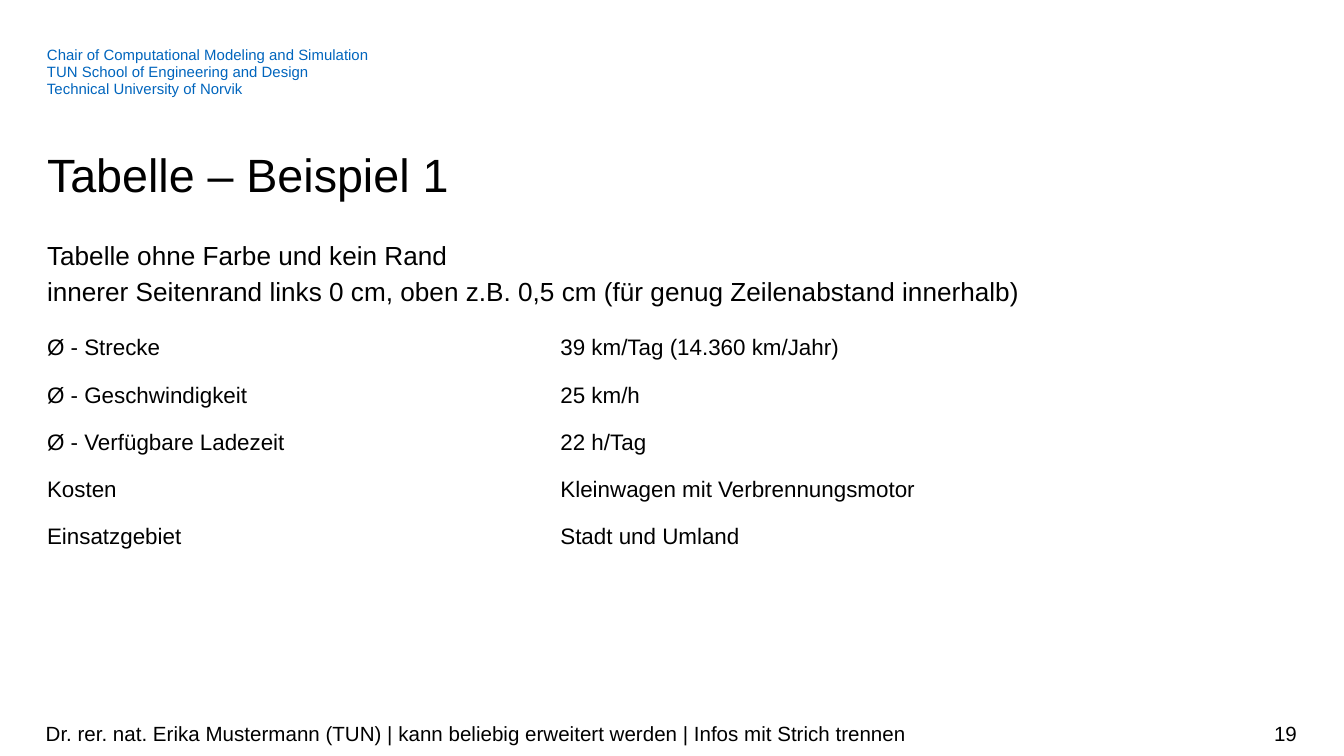
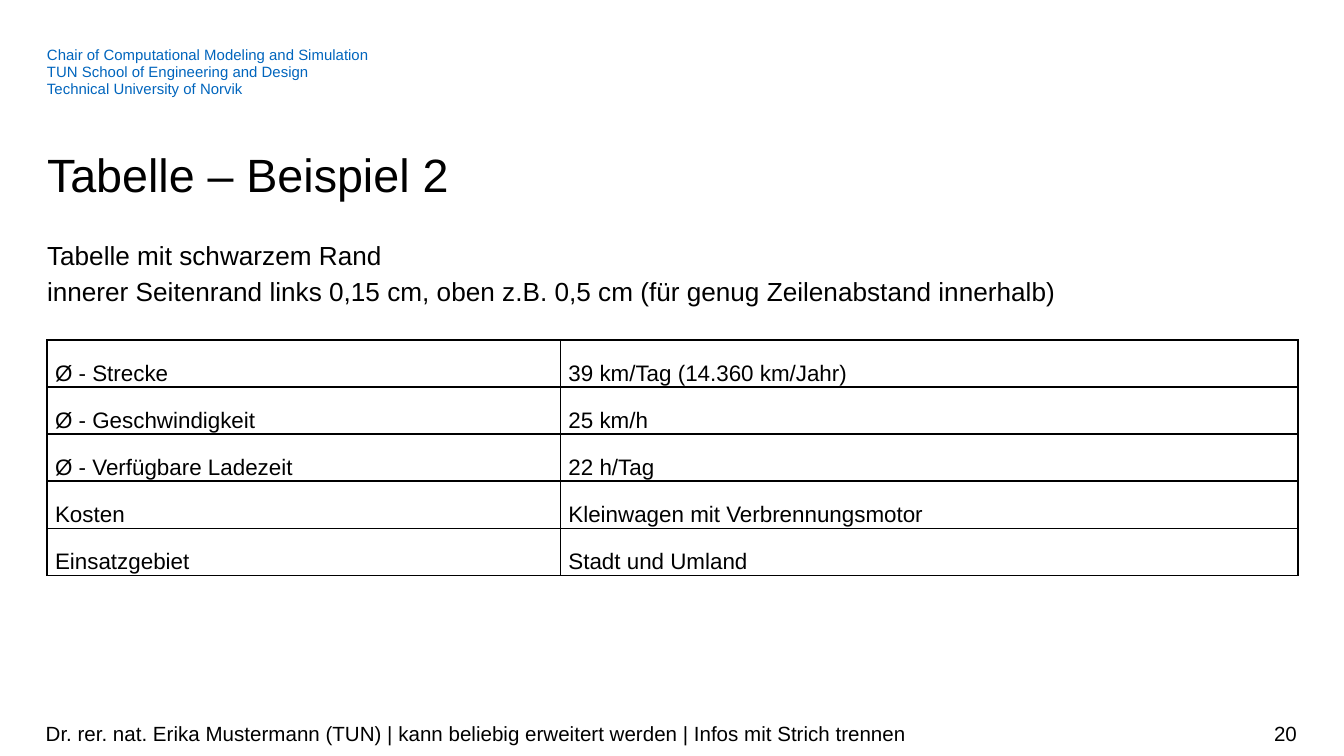
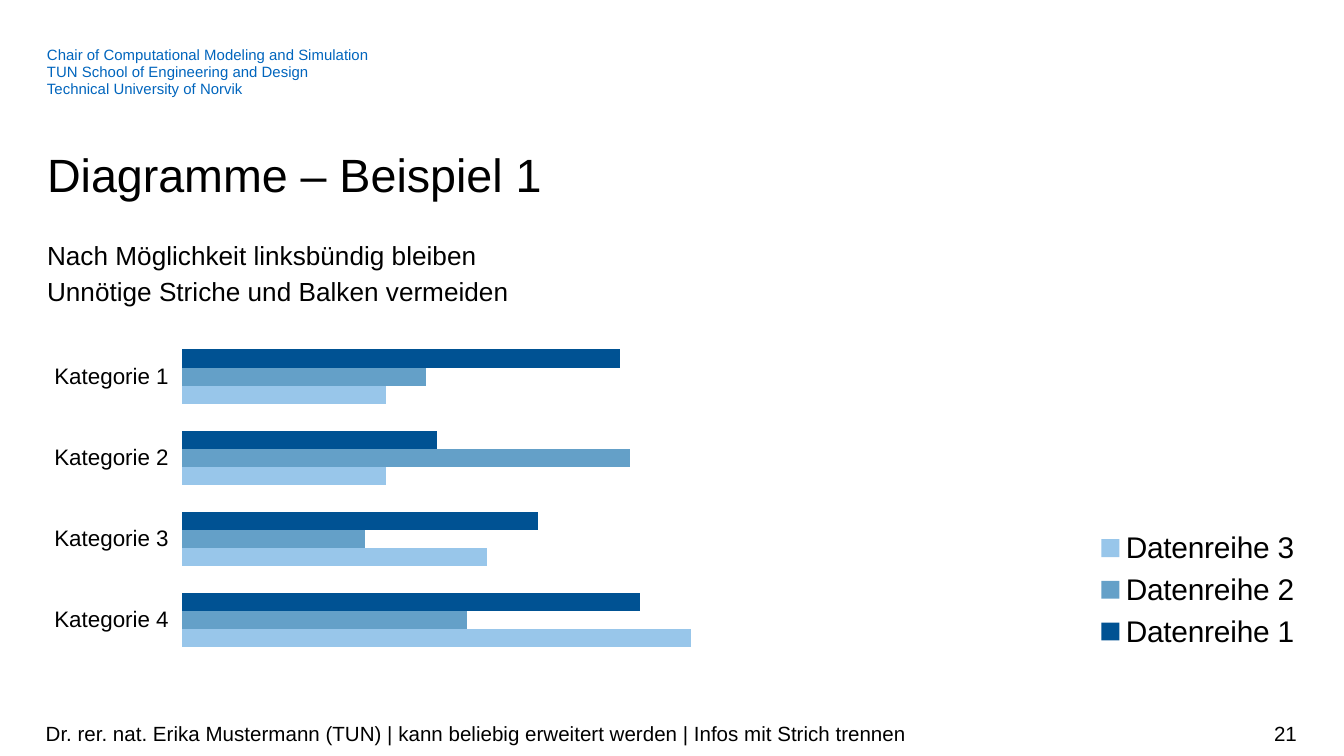
import pptx
import pptx.chart.data
import pptx.dml.color
import pptx.enum.chart
import pptx.enum.text
import pptx.oxml
import pptx.oxml.ns
import pptx.util

Inches, Pt = pptx.util.Inches, pptx.util.Pt
qn = pptx.oxml.ns.qn
ALIGN = pptx.enum.text.PP_ALIGN
ANCHOR = pptx.enum.text.MSO_ANCHOR
GROW = pptx.enum.text.MSO_AUTO_SIZE.SHAPE_TO_FIT_TEXT

FONT, BLACK, BLUE = "Arial", "000000", "0065BD"
LEFT, WIDTH = 0.35, 9.31
CHAIR = ["Chair of Computational Modeling and Simulation",
         "TUN School of Engineering and Design",
         "Technical University of Norvik"]
FOOTER = ("Dr. rer. nat. Erika Mustermann (TUN) | kann beliebig erweitert "
          "werden | Infos mit Strich trennen")
FACTS = [("Ø - Strecke", "39 km/Tag (14.360 km/Jahr)"),
         ("Ø - Geschwindigkeit", "25 km/h"),
         ("Ø - Verfügbare Ladezeit", "22 h/Tag"),
         ("Kosten", "Kleinwagen mit Verbrennungsmotor"),
         ("Einsatzgebiet", "Stadt und Umland")]
SERIES = [("Datenreihe 1", (86, 50, 70, 90), "005293"),
          ("Datenreihe 2", (48, 88, 36, 56), "64A0C8"),
          ("Datenreihe 3", (40, 40, 60, 100), "98C6EA")]


def color(code):
    return pptx.dml.color.RGBColor.from_string(code)


def style(font, size, code=BLACK):
    font.name, font.size = FONT, Pt(size)
    font.color.rgb = color(code)


def add_run(para, text, size, code=BLACK):
    run = para.add_run()
    run.text = text
    style(run.font, size, code)


def add_frame(slide, box, pad=0, anchor=ANCHOR.TOP):
    """Add a text box without side margins and return its text frame."""
    frame = slide.shapes.add_textbox(*map(Inches, box)).text_frame
    frame.word_wrap = True
    frame.margin_left = frame.margin_right = 0
    frame.margin_top = frame.margin_bottom = Inches(pad)
    frame.vertical_anchor = anchor
    return frame


def add_header(slide, box):
    frame = add_frame(slide, box)
    frame.auto_size = GROW
    for i, line in enumerate(CHAIR):
        para = frame.add_paragraph() if i else frame.paragraphs[0]
        para.line_spacing = 0.94
        add_run(para, line, 8, BLUE)


def add_title(slide, box, text):
    frame = add_frame(slide, box)
    frame.auto_size = GROW
    para = frame.paragraphs[0]
    para.line_spacing = Pt(32)
    add_run(para, text, 25)


def add_body(slide, box, lines):
    para = add_frame(slide, box).paragraphs[0]
    para.line_spacing = 1.14
    for i, line in enumerate(lines):
        if i:
            para.add_line_break()
        add_run(para, line, 14)


def add_footer(slide, box, number):
    left, top, width, height = box
    split = 7.07
    parts = [(left, split, FOOTER, ALIGN.LEFT),
             (left + split, width - split, str(number), ALIGN.RIGHT)]
    for x, wide, text, align in parts:
        frame = add_frame(slide, (x, top, wide, height), 0.05, ANCHOR.MIDDLE)
        para = frame.paragraphs[0]
        para.alignment = align
        add_run(para, text, 11)


def add_page(deck, number, title, lines):
    """Add a slide with the shared header, title, body and footer."""
    slide = deck.slides.add_slide(deck.slide_layouts[6])
    add_header(slide, (LEFT, 0.35, 7.83, 0.38))
    add_title(slide, (LEFT, 1.06, WIDTH, 0.45), title)
    add_body(slide, (LEFT, 1.75, WIDTH, 0.55), lines)
    add_footer(slide, (0.34, 5.31, WIDTH, 0.3), number)
    return slide


def set_edges(cell, code):
    """Draw all four cell borders, or none when code is None."""
    fill = (f'<a:solidFill><a:srgbClr val="{code}"/></a:solidFill>'
            if code else "<a:noFill/>")
    props = cell._tc.get_or_add_tcPr()
    for i, side in enumerate("LRTB"):
        props.insert(i, pptx.oxml.parse_xml(
            f'<a:ln{side} {pptx.oxml.ns.nsdecls("a")} w="{Pt(1)}">'
            f'{fill}</a:ln{side}>'))


def add_facts(slide, box, inset, edge=None):
    rows, cols = len(FACTS), len(FACTS[0])
    table = slide.shapes.add_table(rows, cols, *map(Inches, box)).table
    table.first_row = table.horz_banding = False
    first = 3.82
    for col, wide in zip(table.columns, (first, box[2] - first)):
        col.width = Inches(wide)
    for r, fact in enumerate(FACTS):
        table.rows[r].height = Inches(box[3] / rows)
        for c, text in enumerate(fact):
            cell = table.cell(r, c)
            cell.margin_left, cell.margin_top = Inches(inset), Inches(0.15)
            cell.margin_right = cell.margin_bottom = 0
            cell.vertical_anchor = ANCHOR.MIDDLE
            cell.fill.background()
            set_edges(cell, edge)
            add_run(cell.text_frame.paragraphs[0], text, 12)


def set_layout(part, index, area, inner=False):
    """Place a chart part at fractions of the chart's size."""
    for old in part.findall(qn("c:layout")):
        part.remove(old)
    items = [("layoutTarget", "inner")] if inner else []
    items += [("xMode", "edge"), ("yMode", "edge"), *zip("xywh", area)]
    tags = "".join(f'<c:{tag} val="{val}"/>' for tag, val in items)
    part.insert(index, pptx.oxml.parse_xml(
        f'<c:layout {pptx.oxml.ns.nsdecls("c")}><c:manualLayout>{tags}'
        '</c:manualLayout></c:layout>'))


def add_bars(slide, box):
    data = pptx.chart.data.CategoryChartData()
    data.categories = [f"Kategorie {n}" for n in range(1, 5)]
    for name, vals, _ in SERIES:
        data.add_series(name, vals)
    chart = slide.shapes.add_chart(
        pptx.enum.chart.XL_CHART_TYPE.BAR_CLUSTERED,
        *map(Inches, box), data).chart
    style(chart.font, 16)
    chart.has_title = False

    plot = chart.plots[0]
    plot.gap_width, plot.overlap = 150, 0
    plot.vary_by_categories = False
    for bar, (_, _, code) in zip(plot.series, SERIES):
        bar.format.fill.solid()
        bar.format.fill.fore_color.rgb = color(code)

    cats, vals = chart.category_axis, chart.value_axis
    cats.reverse_order = True
    cats.major_tick_mark = pptx.enum.chart.XL_TICK_MARK.OUTSIDE
    cats.format.line.fill.background()
    style(cats.tick_labels.font, 12)
    vals.minimum_scale, vals.maximum_scale = 0, 120
    vals.has_major_gridlines = False
    vals.visible = False

    chart.has_legend = True
    chart.legend.position = pptx.enum.chart.XL_LEGEND_POSITION.RIGHT
    chart.legend.include_in_layout = False
    style(chart.legend.font, 16)
    root = chart.element
    set_layout(root.find(".//" + qn("c:plotArea")), 0,
               (0.125, 0, 0.46, 0.94), True)
    set_layout(root.find(".//" + qn("c:legend")), 1, (0.81, 0.54, 0.16, 0.39))


def main():
    deck = pptx.Presentation()
    deck.slide_width, deck.slide_height = Inches(10), Inches(10 * 9 / 16)
    hint = "oben z.B. 0,5 cm (für genug Zeilenabstand innerhalb)"

    plain = add_page(deck, 19, "Tabelle – Beispiel 1",
                     ["Tabelle ohne Farbe und kein Rand",
                      f"innerer Seitenrand links 0 cm, {hint}"])
    add_facts(plain, (LEFT, 2.34, WIDTH, 1.74), 0)

    ruled = add_page(deck, 20, "Tabelle – Beispiel 2",
                     ["Tabelle mit schwarzem Rand",
                      f"innerer Seitenrand links 0,15 cm, {hint}"])
    add_facts(ruled, (LEFT, 2.53, WIDTH, 1.74), 0.06, BLACK)

    bars = add_page(deck, 21, "Diagramme – Beispiel 1",
                    ["Nach Möglichkeit linksbündig bleiben",
                     "Unnötige Striche und Balken vermeiden"])
    add_bars(bars, (0.12, 2.5, 9.88, 2.57))
    deck.save("out.pptx")


if __name__ == "__main__":
    main()
